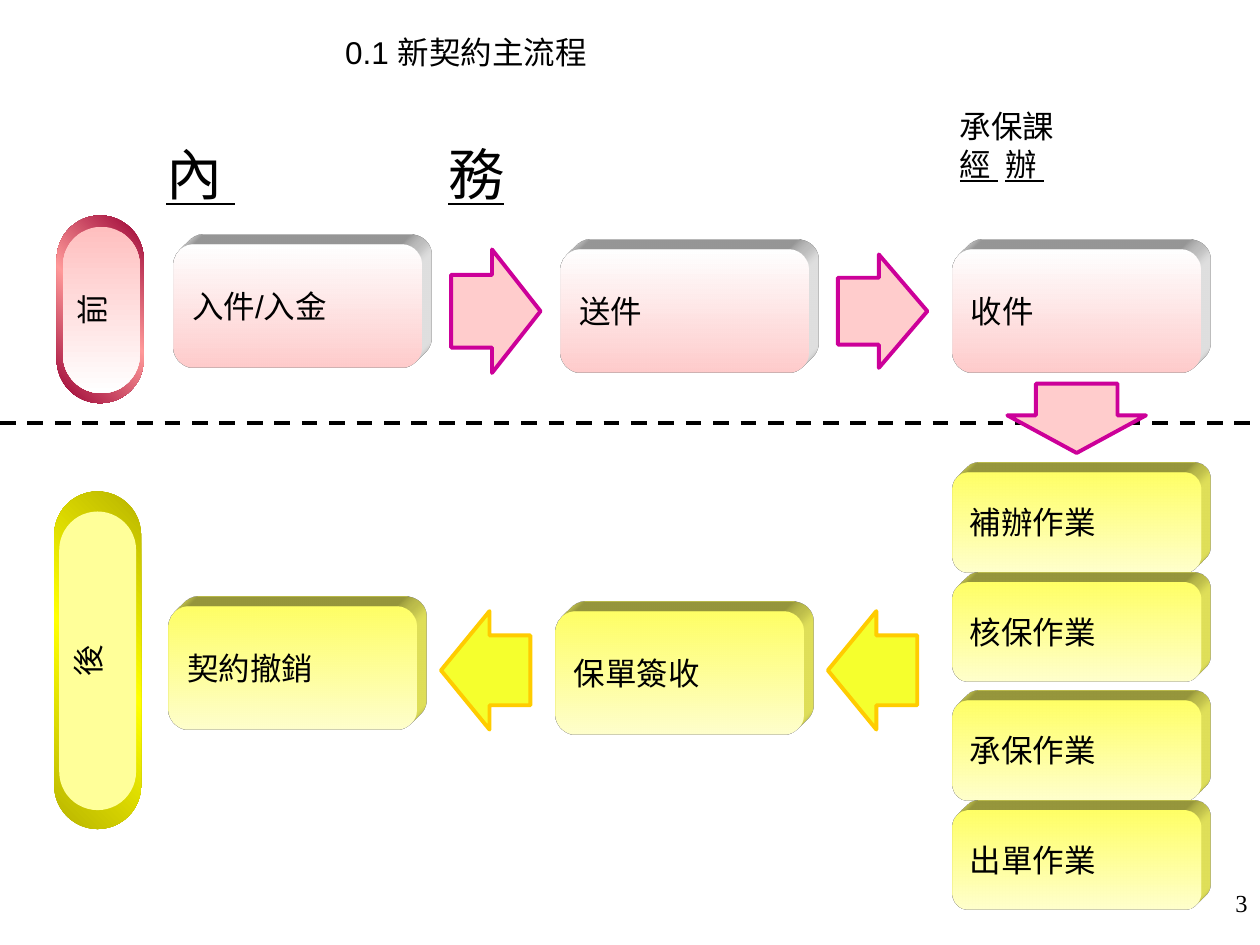
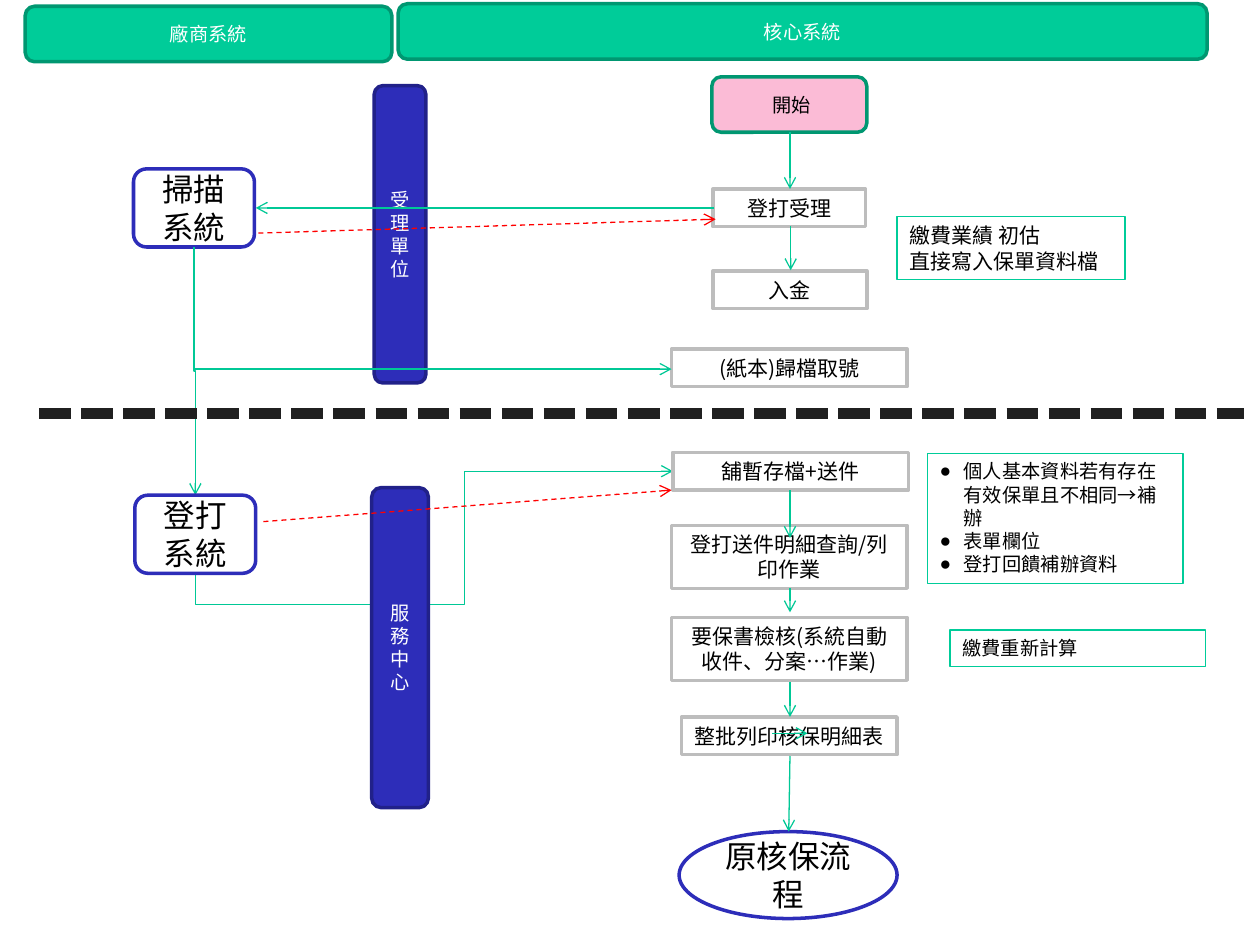
from dataclasses import dataclass
from typing import Optional

import lxml.etree
import pptx
import pptx.dml.color
import pptx.enum.dml
import pptx.enum.shapes
import pptx.enum.text
import pptx.oxml.ns
import pptx.util

PX = 9144
SHAPE = pptx.enum.shapes.MSO_SHAPE
CONNECTOR = pptx.enum.shapes.MSO_CONNECTOR
ALIGN = pptx.enum.text.PP_ALIGN
ANCHOR = pptx.enum.text.MSO_ANCHOR
DASH = pptx.enum.dml.MSO_LINE
qn = pptx.oxml.ns.qn


@dataclass(frozen=True)
class Type:
    size: int
    font: str = "Arial"
    color: str = "000000"


@dataclass(frozen=True)
class Gradient:
    stops: tuple[tuple[int, str], ...]
    angle: int = 270


@dataclass(frozen=True)
class Look:
    fill: Optional[str | Gradient] = None
    line: Optional[str] = None
    weight: float = 2
    dash: Optional[DASH] = None


@dataclass(frozen=True)
class Phase:
    face: Gradient
    side: str
    arrow: Look
    rim: Gradient
    core: str | Gradient


def rim_gradient(edge: str, middle: str) -> Gradient:
    return Gradient(((0, edge), (50, middle), (100, edge)), 45)


@dataclass(frozen=True)
class Theme:
    cjk: str = "Noto Sans CJK SC"
    body: Type = Type(18)
    office: Type = Type(32, cjk)
    section: Type = Type(18, cjk)
    number: Type = Type(14, "Times New Roman")
    label: Type = Type(11, color="FFFFFF")
    small: Type = Type(11)
    step: Type = Type(12, cjk)
    before: Phase = Phase(
        Gradient(((0, "FFFFFF"), (100, "FFCCCC"))),
        "FFFFFF",
        Look("FFCCCC", "CC0099", 2.25),
        rim_gradient("990033", "FF9999"),
        Gradient(((0, "FFBFBF"), (100, "FFFFFF"))),
    )
    after: Phase = Phase(
        Gradient(((0, "FFFF66"), (100, "FFFFCC"))),
        "FFFF66",
        Look("F5FF2D", "FFCC00", 2.25),
        rim_gradient("B8B400", "FFFF00"),
        "FFFF99",
    )
    header: Look = Look("00CC99", "009771")
    start: Look = Look("FBBBD6", "009771")
    unit: Look = Look("2D2DB9", "212189")
    system: Look = Look("FFFFFF", "2D2DB9")
    task: Look = Look("FFFFFF", "BDBDBD")
    note: Look = Look(None, "00CC99", 0.75)
    flow: Look = Look(None, "00C896", 0.75)
    feedback: Look = Look(None, "FF0000", 0.75, DASH.DASH)
    phase_divider: Look = Look(None, "000000", 2.25, DASH.DASH)
    unit_divider: Look = Look(None, "202020", 6, DASH.SQUARE_DOT)


THEME = Theme()


@dataclass(frozen=True)
class Area:
    x: int
    y: int
    w: int
    h: int

    def emu(self) -> tuple[int, ...]:
        return tuple(v * PX for v in (self.x, self.y, self.w, self.h))


@dataclass(frozen=True)
class Node:
    text: str
    area: Area
    look: Look
    type: Type
    kind: SHAPE = SHAPE.FLOWCHART_ALTERNATE_PROCESS


@dataclass(frozen=True)
class Elbow:
    area: Area
    rotation: int
    flips: str = ""
    bends: int = 3
    adjustments: tuple[int, ...] = ()


def rgb(color: str) -> pptx.dml.color.RGBColor:
    return pptx.dml.color.RGBColor.from_string(color)


def add_xml(parent, tag: str, **attributes: str):
    return lxml.etree.SubElement(parent, qn(tag), **attributes)


def paint(shape, look: Look) -> None:
    shape.shadow.inherit = False
    if look.fill is None:
        shape.fill.background()
    elif isinstance(look.fill, Gradient):
        shape.fill.gradient()
        shape.fill.gradient_angle = look.fill.angle
        stops = shape._element.spPr.find(".//" + qn("a:gsLst"))
        for old in list(stops):
            stops.remove(old)
        for position, color in look.fill.stops:
            stop = add_xml(stops, "a:gs", pos=str(position * 1000))
            add_xml(stop, "a:srgbClr", val=color)
    else:
        shape.fill.solid()
        shape.fill.fore_color.rgb = rgb(look.fill)
    draw_line(shape.line, look)


def draw_line(line, look: Look) -> None:
    if look.line is None:
        line.fill.background()
        return
    line.color.rgb = rgb(look.line)
    line.width = pptx.util.Pt(look.weight)
    if look.dash is not None:
        line.dash_style = look.dash


def write(shape, text: str, style: Type, align=ALIGN.LEFT, anchor=ANCHOR.MIDDLE) -> list:
    frame = shape.text_frame
    frame.text = text
    frame.word_wrap = True
    frame.vertical_anchor = anchor
    for paragraph in frame.paragraphs:
        paragraph.alignment = align
        paragraph.font.size = pptx.util.Pt(style.size)
        paragraph.font.name = style.font
        paragraph.font.color.rgb = rgb(style.color)
    return list(frame.paragraphs)


def add_block(slide, kind: SHAPE, area: Area, look: Look):
    block = slide.shapes.add_shape(kind, *area.emu())
    paint(block, look)
    return block


def add_caption(slide, text: str, area: Area, style: Type, align=ALIGN.LEFT) -> list:
    caption = slide.shapes.add_textbox(*area.emu())
    return write(caption, text, style, align, ANCHOR.TOP)


def underline_spaced(paragraph, parts: tuple[tuple[str, int], ...]) -> None:
    paragraph.font.underline = True
    for text, gap in parts:
        paragraph.add_run().text = text
        if gap:
            space = paragraph.add_run()
            space.text = " "
            space._r.get_or_add_rPr().set("spc", str(gap * 100))


def finish_connector(connector, look: Look, arrow: bool) -> None:
    draw_line(connector.line, look)
    properties = connector._element.spPr
    if arrow:
        add_xml(properties.find(qn("a:ln")), "a:tailEnd", type="arrow")
    add_xml(properties, "a:effectLst")


def add_straight(slide, start: tuple[int, int], end: tuple[int, int],
                 look: Look = THEME.flow, arrow: bool = True) -> None:
    ends = (v * PX for v in start + end)
    finish_connector(slide.shapes.add_connector(CONNECTOR.STRAIGHT, *ends), look, arrow)


def add_elbow(slide, elbow: Elbow) -> None:
    x, y, w, h = elbow.area.emu()
    connector = slide.shapes.add_connector(CONNECTOR.ELBOW, x, y, x + w, y + h)
    properties = connector._element.spPr
    transform = properties.find(qn("a:xfrm"))
    transform.set("rot", str(elbow.rotation * 60000))
    for flip in elbow.flips:
        transform.set("flip" + flip, "1")
    geometry = properties.find(qn("a:prstGeom"))
    geometry.set("prst", f"bentConnector{elbow.bends}")
    guides = geometry.find(qn("a:avLst"))
    for number, value in enumerate(elbow.adjustments, 1):
        add_xml(guides, "a:gd", name=f"adj{number}", fmla=f"val {value}")
    finish_connector(connector, THEME.flow, True)


def add_step(slide, text: str, area: Area, phase: Phase) -> None:
    step = add_block(slide, SHAPE.ROUNDED_RECTANGLE, area, Look(phase.face))
    write(step, text, THEME.body)
    properties = step._element.spPr
    scene = add_xml(properties, "a:scene3d")
    add_xml(scene, "a:camera", prst="legacyObliqueTopRight")
    add_xml(scene, "a:lightRig", rig="legacyFlat3", dir="b")
    solid = add_xml(properties, "a:sp3d", extrusionH=str(22 * PX), prstMaterial="legacyMatte")
    for bevel in ("a:bevelT", "a:bevelB"):
        add_xml(solid, bevel, w="13500", h="13500", prst="angle")
    add_xml(add_xml(solid, "a:extrusionClr"), "a:srgbClr", val=phase.side)


def add_phase_pill(slide, text: str, outer: Area, inner: Area, phase: Phase) -> None:
    for area, fill in ((outer, phase.rim), (inner, phase.core)):
        pill = add_block(slide, SHAPE.ROUNDED_RECTANGLE, area, Look(fill))
        pill.adjustments[0] = 0.5
    write(pill, text, THEME.body, ALIGN.CENTER)
    pill.text_frame.margin_right = 20 * PX
    pill.text_frame._txBody.bodyPr.set("vert", "vert270")


def add_step_arrow(slide, area: Area, phase: Phase, rotation: int = 0) -> None:
    arrow = add_block(slide, SHAPE.RIGHT_ARROW, area, phase.arrow)
    arrow.adjustments[0], arrow.adjustments[1] = 0.589, 0.542
    arrow.rotation = rotation


def add_node(slide, node: Node) -> None:
    block = add_block(slide, node.kind, node.area, node.look)
    write(block, node.text, node.type, ALIGN.CENTER)


def add_note(slide, text: str, area: Area, style: Type, bulleted: bool = False) -> None:
    note = add_block(slide, SHAPE.RECTANGLE, area, THEME.note)
    for paragraph in write(note, text, style, anchor=ANCHOR.TOP):
        if bulleted:
            properties = paragraph._p.get_or_add_pPr()
            properties.set("marL", str(19 * PX))
            properties.set("indent", str(-19 * PX))
            defaults = properties.find(qn("a:defRPr"))
            defaults.addprevious(lxml.etree.Element(qn("a:buFont"), typeface=style.font))
            defaults.addprevious(lxml.etree.Element(qn("a:buChar"), char="●"))


def build_main_process(slide) -> None:
    before, after = THEME.before, THEME.after
    add_caption(slide, "3", Area(792, 700, 208, 50), THEME.number, ALIGN.RIGHT)
    add_caption(slide, "0.1 新契約主流程", Area(264, 21, 315, 40), THEME.body)
    office = add_caption(slide, "", Area(122, 106, 543, 63), THEME.office)
    underline_spaced(office[0], (("內", 122), ("務", 0)))
    section = add_caption(slide, "承保課\n", Area(752, 80, 193, 90), THEME.section)
    underline_spaced(section[1], (("經", 4), ("辦", 52)))
    add_straight(slide, (0, 336), (1000, 336), THEME.phase_divider, False)

    add_phase_pill(slide, "前", Area(45, 171, 69, 149), Area(50, 180, 61, 132), before)
    add_phase_pill(slide, "後", Area(43, 390, 69, 268), Area(47, 406, 61, 237), after)
    for text, x, y, phase in (
        ("入件/入金", 138, 194, before),
        ("送件", 445, 198, before),
        ("收件", 756, 198, before),
        ("契約撤銷", 134, 481, after),
        ("保單簽收", 441, 485, after),
    ):
        add_step(slide, text, Area(x, y, 197, 98), phase)
    for text, y in (("補辦作業", 375), ("核保作業", 462), ("承保作業", 556), ("出單作業", 643)):
        add_step(slide, text, Area(756, y, 197, 79), after)

    add_step_arrow(slide, Area(358, 198, 71, 98), before)
    add_step_arrow(slide, Area(665, 202, 71, 90), before)
    add_step_arrow(slide, Area(827, 277, 55, 110), before, 90)
    for x in (350, 657):
        add_step_arrow(slide, Area(x, 485, 71, 94), after, 180)


def build_system_flow(slide) -> None:
    add_elbow(slide, Elbow(Area(304, 225, 81, 379), 90, "HV", 4, (-31000, 56400)))
    add_elbow(slide, Elbow(Area(56, 294, 197, 1), 270, "H", 3, (50000,)))
    for node in (
        Node("廠商系統", Area(20, 5, 291, 44), THEME.header, THEME.label),
        Node("核心系統", Area(316, 3, 642, 44), THEME.header, THEME.label),
        Node("受理單位", Area(297, 68, 41, 236), THEME.unit, THEME.label),
        Node("服務中心", Area(295, 387, 45, 254), THEME.unit, THEME.label),
        Node(" 開始", Area(565, 61, 123, 44), THEME.start, THEME.small),
        Node("掃描系統", Area(106, 134, 96, 62), THEME.system, THEME.body),
        Node("登打系統", Area(107, 393, 96, 62), THEME.system, THEME.body),
        Node("原核保流程", Area(539, 660, 173, 69), THEME.system, THEME.body,
             SHAPE.FLOWCHART_CONNECTOR),
    ):
        add_node(slide, node)
    for text, x, y, w, h in (
        ("登打受理", 566, 150, 121, 30),
        ("入金", 566, 215, 122, 30),
        ("(紙本)歸檔取號", 533, 277, 187, 30),
        ("舖暫存檔+送件", 534, 359, 187, 30),
        ("登打送件明細查詢/列印作業", 533, 417, 187, 50),
        ("要保書檢核(系統自動收件、分案…作業)", 533, 490, 187, 50),
        ("整批列印核保明細表", 541, 569, 171, 30),
    ):
        add_node(slide, Node(text, Area(x, y, w, h), THEME.task, THEME.step, SHAPE.RECTANGLE))

    add_note(slide, "繳費業績 初估\n直接寫入保單資料檔", Area(712, 172, 181, 50), THEME.step)
    add_note(slide, "個人基本資料若有存在有效保單且不相同→補辦\n表單欄位\n登打回饋補辦資料",
             Area(736, 360, 203, 103), THEME.small, True)
    add_note(slide, "繳費重新計算", Area(754, 500, 203, 29), THEME.small)

    add_straight(slide, (31, 328), (987, 328), THEME.unit_divider, False)
    for elbow in (
        Elbow(Area(203, 165, 364, 0), 180),
        Elbow(Area(610, 197, 35, 0), 90),
        Elbow(Area(295, 55, 97, 379), 270, "H", 2),
    ):
        add_elbow(slide, elbow)
    for top, bottom in ((105, 150), (389, 427), (467, 486), (541, 569)):
        add_straight(slide, (627, top), (627, bottom))
    add_straight(slide, (627, 600), (626, 660))
    add_straight(slide, (613, 582), (641, 582))
    add_straight(slide, (205, 185), (568, 174), THEME.feedback)
    add_straight(slide, (209, 414), (533, 389), THEME.feedback)


def main() -> None:
    deck = pptx.Presentation()
    deck.slide_width, deck.slide_height = 1000 * PX, 750 * PX
    for build in (build_main_process, build_system_flow):
        build(deck.slides.add_slide(deck.slide_layouts[6]))
    deck.save("out.pptx")


if __name__ == "__main__":
    main()
